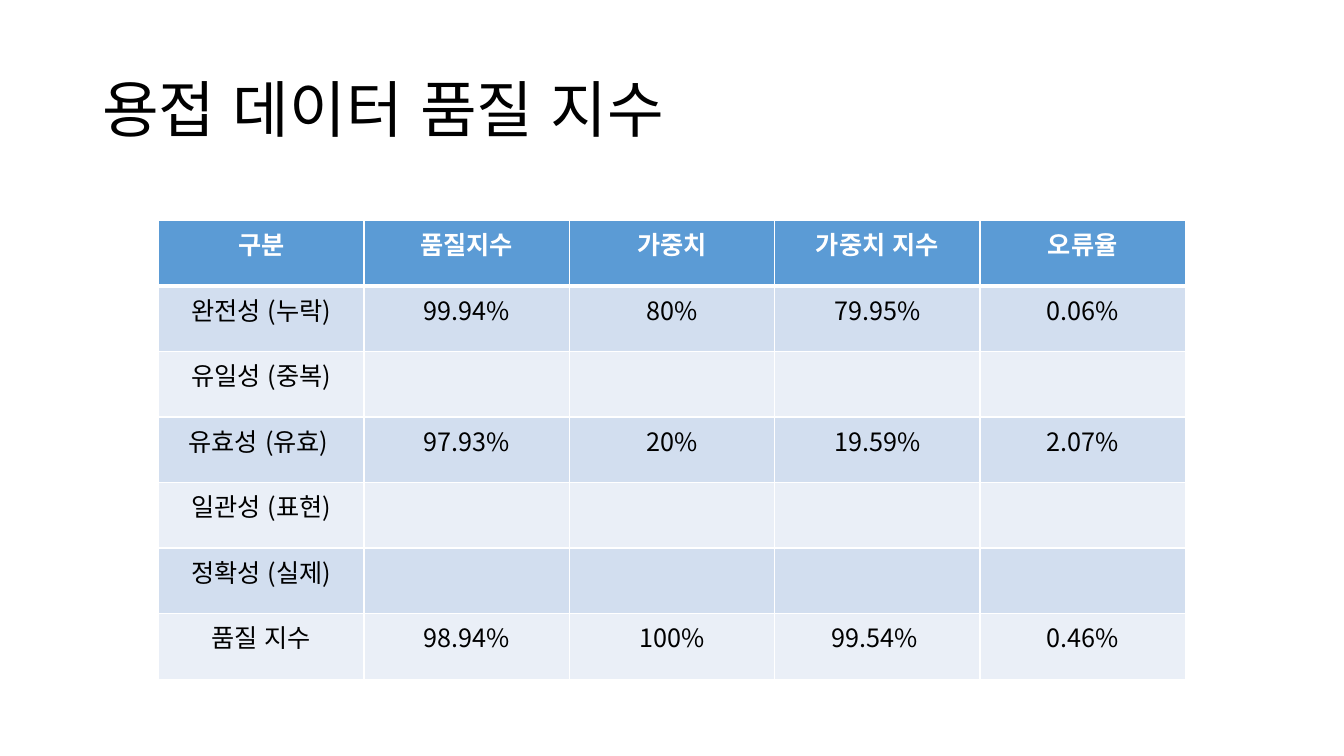
from lxml import etree
from pptx import Presentation, util as u
from pptx.dml.color import RGBColor
from pptx.enum import lang, text
from pptx.oxml.ns import qn

# Content
TITLE = "용접 데이터 품질 지수"
ROWS = [
    ("구분", "품질지수", "가중치", "가중치 지수", "오류율"),
    ("완전성 (누락)", "99.94%", "80%", "79.95%", "0.06%"),
    ("유일성 (중복)", "", "", "", ""),
    ("유효성 (유효) ", "97.93%", "20%", "19.59%", "2.07%"),
    ("일관성 (표현)", "", "", "", ""),
    ("정확성 (실제)", "", "", "", ""),
    ("품질 지수", "98.94%", "100%", "99.54% ", "0.46%"),
]
COLORS = {"black": "000000", "white": "FFFFFF", "header": "5B9BD5",
          "odd": "D2DEEF", "even": "EAEFF7"}
FONT = "Noto Sans CJK KR"

# Layout in px, 96 to the inch
PX = 9525
SLIDE = (1280, 720)
TITLE_BOX = (88, 38, 1104, 139)
TABLE_BOX = (151, 210, 978, 437)


def emu(lengths):
    return [n * PX for n in lengths]


def rgb(name):
    return RGBColor.from_string(COLORS[name])


def write(tf, content, size=18, color="black", bold=False, align=None, spacing=None):
    p = tf.paragraphs[0]
    p.alignment = align
    p.line_spacing = spacing
    p.font.size = u.Pt(size)
    if not content:
        return
    r = p.add_run()
    r.text = content
    f = r.font
    f.size, f.bold, f.name = u.Pt(size), bold, FONT
    f.color.rgb = rgb(color)
    f.language_id = lang.MSO_LANGUAGE_ID.KOREAN
    etree.SubElement(r._r.get_or_add_rPr(), qn("a:ea"), typeface=FONT)


def add_border(cell, side, points):
    ln = etree.SubElement(cell._tc.get_or_add_tcPr(), qn(f"a:ln{side}"),
                          w=str(u.Pt(points)))
    fill = etree.SubElement(ln, qn("a:solidFill"))
    etree.SubElement(fill, qn("a:srgbClr"), val=COLORS["white"])


prs = Presentation()
prs.slide_width, prs.slide_height = emu(SLIDE)
s = prs.slides.add_slide(prs.slide_layouts[6])

# Title
tf = s.shapes.add_textbox(*emu(TITLE_BOX)).text_frame
tf.word_wrap = True
tf.vertical_anchor = text.MSO_ANCHOR.MIDDLE
write(tf, TITLE, size=44, spacing=0.9)

# Quality table
table = s.shapes.add_table(len(ROWS), len(ROWS[0]), *emu(TABLE_BOX)).table
table.horz_banding = False
for i, row in enumerate(ROWS):
    header = i == 0
    band = "header" if header else "odd" if i % 2 else "even"
    for j, value in enumerate(row):
        cell = table.cell(i, j)
        write(cell.text_frame, value, color="white" if header else "black",
              bold=header, align=text.PP_ALIGN.CENTER)
        for side in "LRTB":
            under_header = (i, side) in ((0, "B"), (1, "T"))
            add_border(cell, side, 3 if under_header else 1)
        cell.fill.solid()
        cell.fill.fore_color.rgb = rgb(band)

prs.save("out.pptx")
